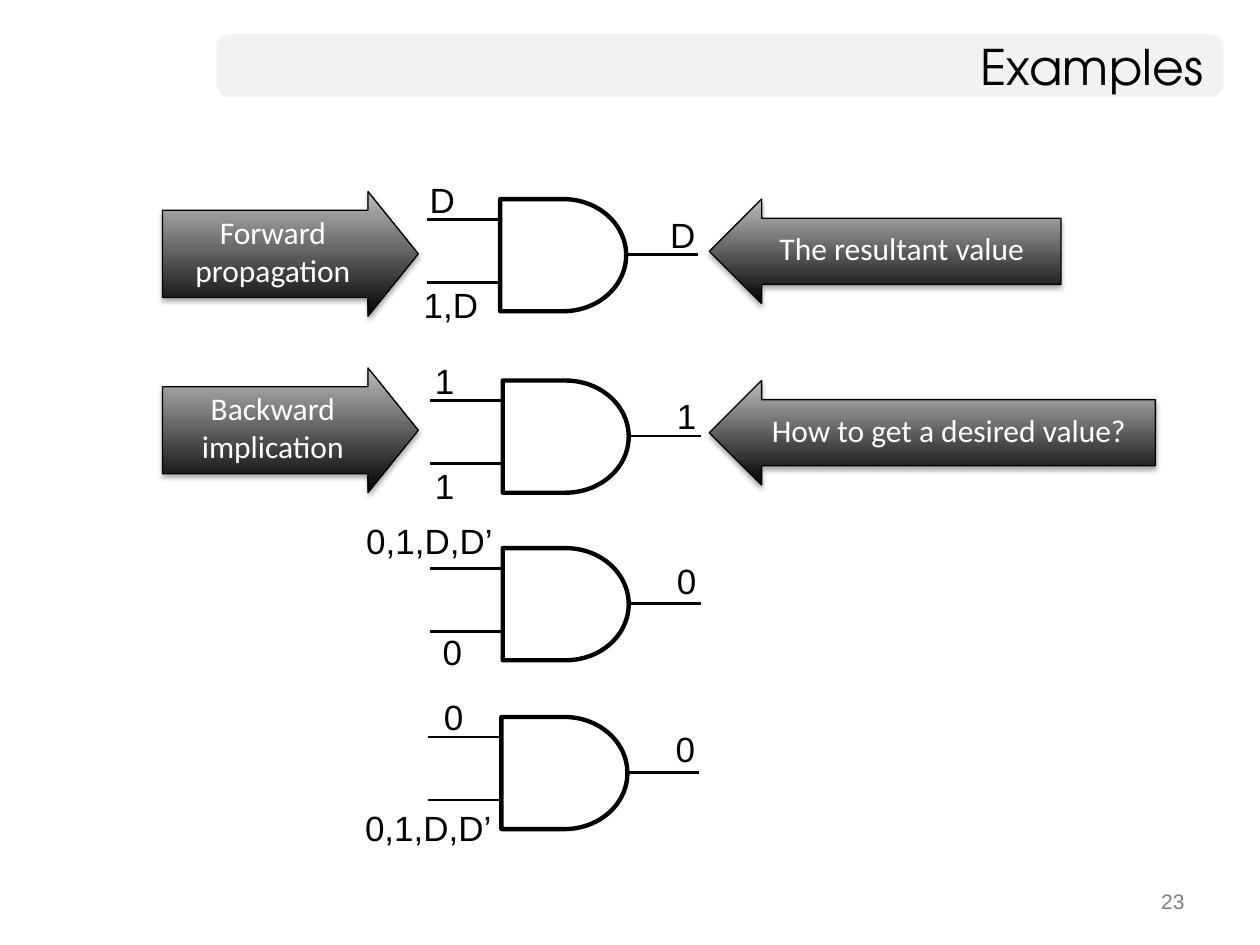
import lxml.etree
import pptx
import pptx.dml.color
import pptx.enum.shapes
import pptx.enum.text
import pptx.oxml
import pptx.oxml.ns
import pptx.util
from pptx.util import Inches

SHAPE = pptx.enum.shapes.MSO_SHAPE
ALIGN = pptx.enum.text.PP_ALIGN
MIDDLE = pptx.enum.text.MSO_ANCHOR.MIDDLE

# Each gate: left, top, then labels as (text, left, top, width)
GATES = [
    (3.97, 1.58, [("D", 3.31, 1.36, 0.4), ("D", 5.22, 1.64, 0.4), ("1,D", 3.26, 2.2, 0.64)]),
    (3.99, 3.02, [("1", 3.35, 2.8, 0.36), ("1", 5.27, 3.08, 0.36), ("1", 3.35, 3.63, 0.36)]),
    (3.99, 4.35, [("0,1,D,D’", 2.81, 4.07, 1.2), ("0", 5.27, 4.39, 0.36), ("0", 3.41, 4.95, 0.36)]),
    (3.98, 5.69, [("0", 3.42, 5.47, 0.36), ("0", 5.26, 5.72, 0.36), ("0,1,D,D’", 2.8, 6.35, 1.2)]),
]
# Wire ends, measured from the gate's top left corner: start x, end x, y
WIRES = [(1.57, 0.82, 0.44), (0.17, -0.58, 0.66), (0.17, -0.58, 0.16)]

# Callouts: text, preset, adjustments, left, top, width, height
RIGHT = (SHAPE.RIGHT_ARROW, (0.698, 0.403))
LEFT = (SHAPE.LEFT_ARROW, (0.633, 0.5))
CALLOUTS = [
    ("Forward propagation", *RIGHT, 1.29, 1.52, 2.03, 0.99),
    ("The resultant value", *LEFT, 5.63, 1.58, 2.79, 0.83),
    ("Backward implication", *RIGHT, 1.29, 2.92, 2.03, 0.99),
    ("How to get a desired value?", *LEFT, 5.63, 3.02, 3.54, 0.83),
]


def color(value):
    return pptx.dml.color.RGBColor.from_string(value)


def place(left, top, width, height):
    return Inches(left), Inches(top), Inches(width), Inches(height)


def write(shape, text, font, size, text_color, align):
    frame = shape.text_frame
    frame.text = text
    frame.vertical_anchor = MIDDLE
    para = frame.paragraphs[0]
    para.alignment = align
    para.font.name = font
    para.font.size = pptx.util.Pt(size)
    para.font.color.rgb = color(text_color)


def set_line(shape, width):
    shape.line.color.rgb = color("000000")
    shape.line.width = pptx.util.Pt(width)


def add_title(slide, text):
    title = slide.shapes.title
    title.left, title.top, title.width, title.height = place(1.72, 0.27, 7.93, 0.5)
    write(title, text, "TeX Gyre Adventor", 28, "000000", ALIGN.RIGHT)

    bar = slide.shapes.add_shape(SHAPE.ROUNDED_RECTANGLE, *place(1.72, 0.27, 7.99, 0.5))
    bar.adjustments[0] = 0.208
    bar.fill.solid()
    bar.fill.fore_color.rgb = color("F2F2F2")
    bar.line.fill.background()
    bar.shadow.inherit = False
    title._element.addprevious(bar._element)


def add_label(shapes, text, left, top, width):
    """Add a one-line label; without side margins it has room not to wrap."""
    box = shapes.add_textbox(*place(left, top, width, 0.44))
    frame = box.text_frame
    frame.word_wrap = False
    frame.margin_left = frame.margin_right = 0
    write(box, text, "Arial", 20, "000000", ALIGN.CENTER)


def add_wire(shapes, start, end, y):
    wire = shapes.add_connector(pptx.enum.shapes.MSO_CONNECTOR.STRAIGHT,
                                Inches(start), Inches(y), Inches(end), Inches(y))
    set_line(wire, 1.5)
    lxml.etree.SubElement(wire._element.spPr, pptx.oxml.ns.qn("a:effectLst"))


def add_gate(slide, left, top, labels):
    """Group an AND gate with its two inputs, its output and their labels."""
    shapes = slide.shapes.add_group_shape().shapes
    for start, end, y in WIRES:
        add_wire(shapes, left + start, left + end, top + y)
    gate = shapes.add_shape(SHAPE.FLOWCHART_DELAY, *place(left, top, 1, 0.89))
    gate.fill.solid()
    gate.fill.fore_color.rgb = color("FFFFFF")
    set_line(gate, 2.5)
    gate.shadow.inherit = False
    for label in labels:
        add_label(shapes, *label)


def add_shadow(shape):
    shape.shadow.inherit = False
    effects = shape._element.spPr.find(pptx.oxml.ns.qn("a:effectLst"))
    effects.append(pptx.oxml.parse_xml(
        f'<a:outerShdw {pptx.oxml.ns.nsdecls("a")} blurRad="{pptx.util.Pt(3.1)}" '
        f'dist="{pptx.util.Pt(1.8)}" dir="5400000" rotWithShape="0">'
        '<a:srgbClr val="000000"><a:alpha val="35000"/></a:srgbClr></a:outerShdw>'))


def add_callout(slide, text, preset, adjustments, *bounds):
    arrow = slide.shapes.add_shape(preset, *place(*bounds))
    for index, value in enumerate(adjustments):
        arrow.adjustments[index] = value
    arrow.fill.gradient()
    arrow.fill.gradient_angle = 90
    for stop, position, value in zip(arrow.fill.gradient_stops, (0, 1), ("000000", "BDBDBD")):
        stop.position = position
        stop.color.rgb = color(value)
    set_line(arrow, 0.75)
    add_shadow(arrow)
    arrow.text_frame.margin_bottom = Inches(0.1)
    write(arrow, text, "Calibri", 18, "FFFFFF", ALIGN.CENTER)


def add_page_number(slide, text):
    box = slide.shapes.add_textbox(*place(7.17, 6.98, 2.33, 0.35))
    box.text_frame.word_wrap = True
    write(box, text, "Arial", 12, "808080", ALIGN.RIGHT)


def main():
    deck = pptx.Presentation()
    deck.slide_width, deck.slide_height = Inches(10), Inches(7.5)
    slide = deck.slides.add_slide(deck.slide_layouts.get_by_name("Title Only"))
    add_title(slide, "Examples")
    add_page_number(slide, "23")
    for gate in GATES:
        add_gate(slide, *gate)
    for callout in CALLOUTS:
        add_callout(slide, *callout)
    deck.save("out.pptx")


if __name__ == "__main__":
    main()
